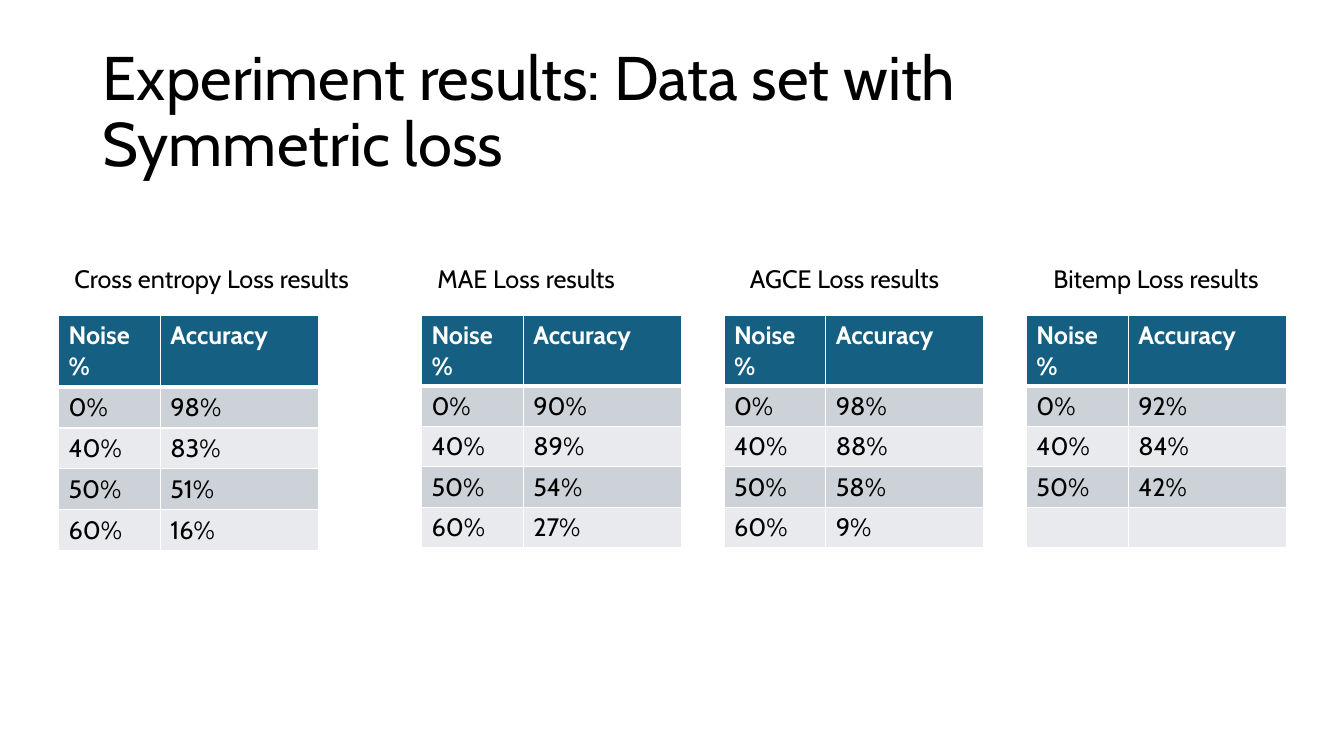
from dataclasses import dataclass

from lxml.etree import SubElement
from pptx import Presentation
from pptx.dml.color import RGBColor
from pptx.enum.text import MSO_ANCHOR as Anchor, MSO_AUTO_SIZE as AutoSize, PP_ALIGN as Align
from pptx.oxml.ns import qn
from pptx.util import Inches, Pt


@dataclass(frozen=True)
class Theme:
    font: str = "Cabin"
    title_size: int = 44
    body_size: int = 18
    ink: str = "000000"
    paper: str = "FFFFFF"
    header: str = "156082"
    bands: tuple = ("CCD2D8", "E8EAED")
    thin: int = 1
    thick: int = 3


THEME = Theme()
NOISE_LEVELS = ["0%", "40%", "50%", "60%"]
COLUMN_WIDTHS = [1.01, 1.57]
ROW_HEIGHTS = [0.7] + [0.4] * len(NOISE_LEVELS)
TABLE_TOP = 3.13
CAPTION_TOP = 2.56
EXPERIMENTS = [
    ("Cross entropy Loss results", 0.58, 0.06, 3.08, ["98%", "83%", "51%", "16%"]),
    ("MAE Loss results", 4.18, 0.06, 2.05, ["90%", "89%", "54%", "27%"]),
    ("AGCE Loss results", 7.18, 0.16, 2.2, ["98%", "88%", "58%", "9%"]),
    ("Bitemp Loss results", 10.18, 0.17, 2.34, ["92%", "84%", "42%"]),
]


def write(frame, text, size, color, bold=False):
    frame.text = text
    for run in frame.paragraphs[0].runs:
        run.font.name = THEME.font
        run.font.size = Pt(size)
        run.font.bold = bold
        run.font.color.rgb = RGBColor.from_string(color)


def add_border(cell, side, width):
    line = SubElement(cell._tc.get_or_add_tcPr(), qn(f"a:ln{side}"), w=str(Pt(width)))
    SubElement(SubElement(line, qn("a:solidFill")), qn("a:srgbClr"), val=THEME.paper)


def style_cell(cell, text, row):
    is_header = row == 0
    write(cell.text_frame, text, THEME.body_size,
          THEME.paper if is_header else THEME.ink, is_header)
    for side in "LRTB":
        under_header = (row, side) in [(0, "B"), (1, "T")]
        add_border(cell, side, THEME.thick if under_header else THEME.thin)
    cell.fill.solid()
    fill = THEME.header if is_header else THEME.bands[(row - 1) % 2]
    cell.fill.fore_color.rgb = RGBColor.from_string(fill)


def add_title(slide, text, left, top, width, height):
    title = slide.shapes.title
    title.left, title.top = Inches(left), Inches(top)
    title.width, title.height = Inches(width), Inches(height)
    frame = title.text_frame
    write(frame, text, THEME.title_size, THEME.ink)
    frame.word_wrap = True
    frame.auto_size = AutoSize.NONE
    frame.vertical_anchor = Anchor.MIDDLE
    frame.paragraphs[0].alignment = Align.LEFT
    frame.paragraphs[0].line_spacing = 0.9


def add_caption(slide, text, left, top, width):
    caption = slide.shapes.add_textbox(Inches(left), Inches(top), Inches(width), Inches(0.4))
    caption.text_frame.word_wrap = False
    caption.text_frame.auto_size = AutoSize.SHAPE_TO_FIT_TEXT
    write(caption.text_frame, text, THEME.body_size, THEME.ink)


def add_results(slide, accuracies, left, top):
    readings = list(zip(NOISE_LEVELS, accuracies))
    blanks = [("", "")] * (len(NOISE_LEVELS) - len(readings))
    rows = [("Noise %", "Accuracy")] + readings + blanks
    results = slide.shapes.add_table(
        len(rows), len(COLUMN_WIDTHS), Inches(left), Inches(top),
        Inches(sum(COLUMN_WIDTHS)), Inches(sum(ROW_HEIGHTS))).table
    for column, width in zip(results.columns, COLUMN_WIDTHS):
        column.width = Inches(width)
    for row, height in zip(results.rows, ROW_HEIGHTS):
        row.height = Inches(height)
    for r, values in enumerate(rows):
        for c, value in enumerate(values):
            style_cell(results.cell(r, c), value, r)


def add_experiment(slide, name, left, indent, caption_width, accuracies):
    add_results(slide, accuracies, left, TABLE_TOP)
    add_caption(slide, name, left + indent, CAPTION_TOP, caption_width)


def main():
    deck = Presentation()
    deck.slide_width, deck.slide_height = Inches(13.33), Inches(7.5)
    slide = deck.slides.add_slide(deck.slide_layouts.get_by_name("Title Only"))
    add_title(slide, "Experiment results: Data set with Symmetric loss", 0.92, 0.4, 11.5, 1.45)
    for experiment in EXPERIMENTS:
        add_experiment(slide, *experiment)
    deck.save("out.pptx")


if __name__ == "__main__":
    main()
